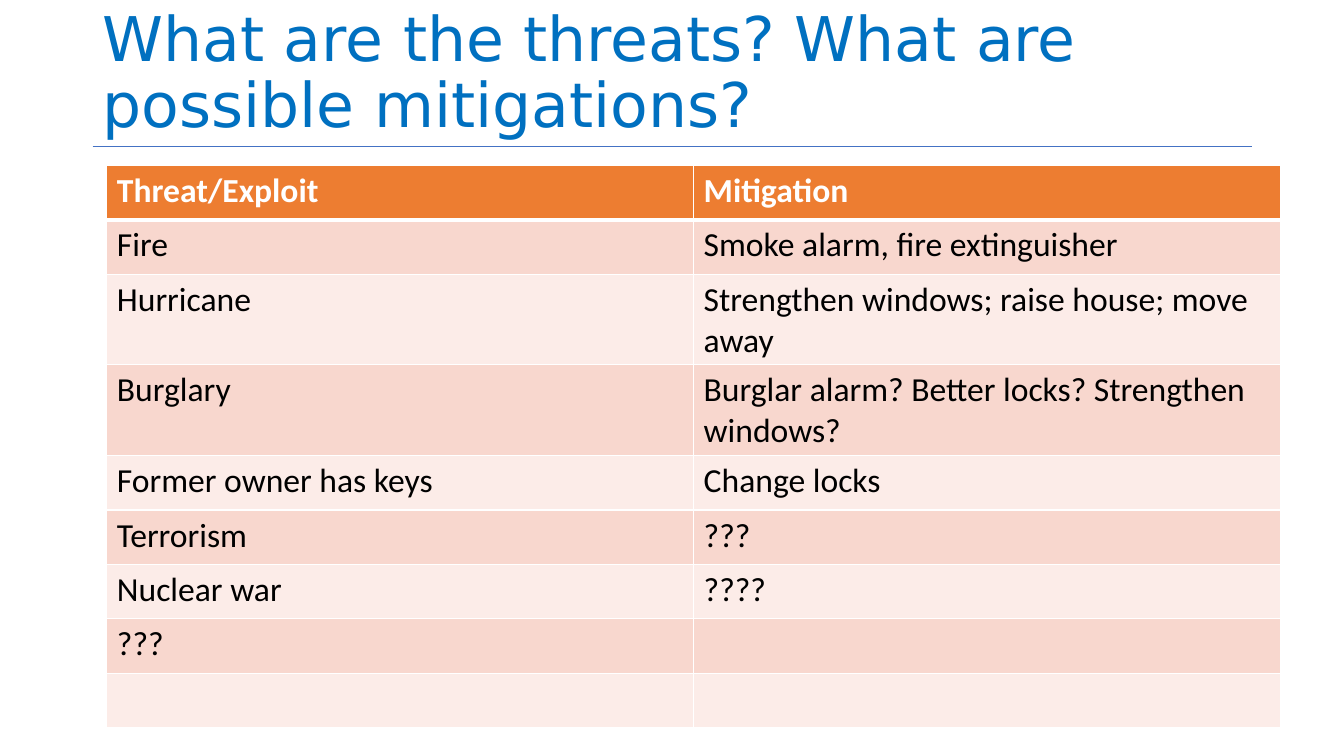
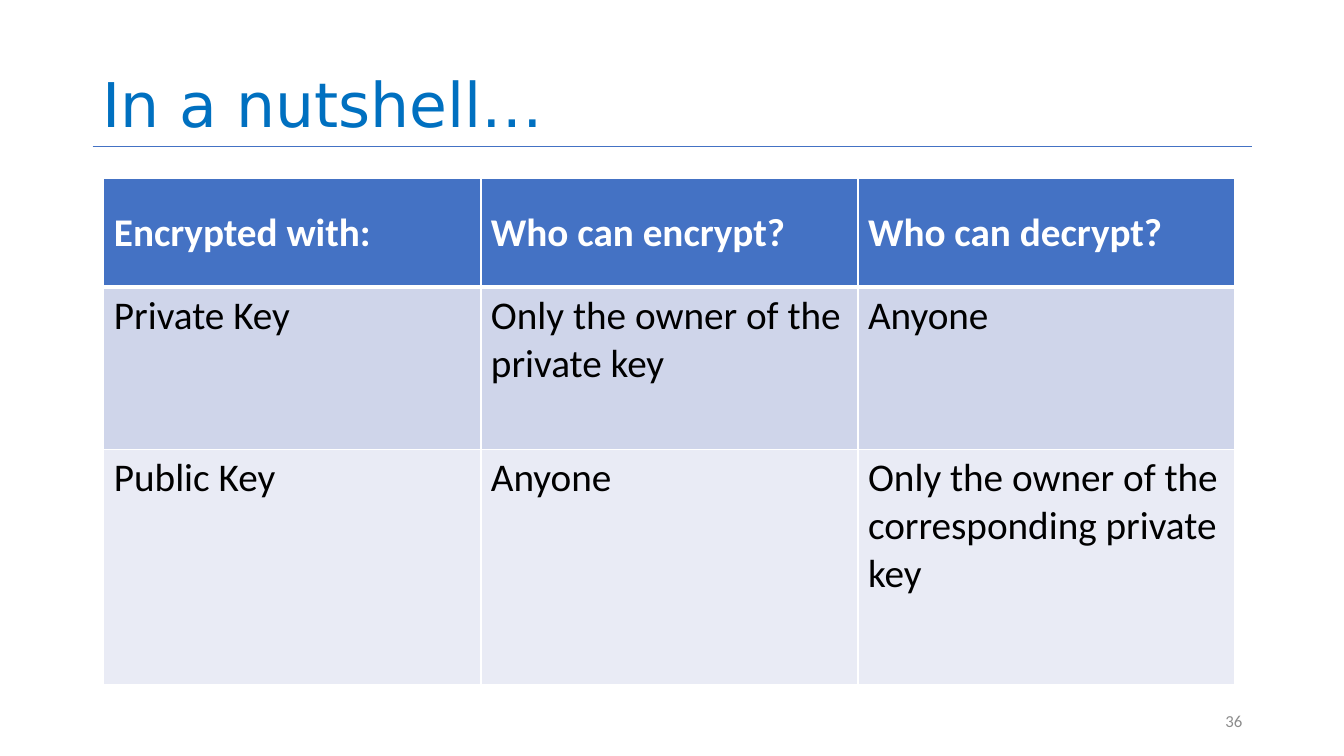
"""Build two slides that each show a titled table on threats and on key encryption."""
from lxml.etree import SubElement
from pptx import Presentation
from pptx.dml.color import RGBColor
from pptx.enum.shapes import MSO_CONNECTOR
from pptx.enum.text import MSO_ANCHOR, PP_ALIGN
from pptx.oxml.ns import qn
from pptx.util import Inches, Pt

COLORS = {
    "title": "0070C0",
    "rule": "4472C4",
    "number": "8C8C8C",
    "border": "FFFFFF",
    "header_text": "FFFFFF",
    "body_text": "000000",
}
ORANGE = {"header": "ED7D31", "bands": ("F8D7CE", "FCECE8")}
BLUE = {"header": "4472C4", "bands": ("CFD5EA", "E9EBF5")}
TITLE_FONT, BODY_FONT = "DejaVu Sans", "Calibri"
LEFT, WIDTH, RULE_Y = 0.92, 11.5, 1.45

THREATS = [
    ("Threat/Exploit", "Mitigation"),
    ("Fire", "Smoke alarm, fire extinguisher"),
    ("Hurricane", "Strengthen windows; raise house; move away"),
    ("Burglary", "Burglar alarm? Better locks? Strengthen windows?"),
    ("Former owner has keys", "Change locks"),
    ("Terrorism", "???"),
    ("Nuclear war", "????"),
    ("???", ""),
    ("", ""),
]
KEYS = [
    ("Encrypted with:", "Who can encrypt?", "Who can decrypt?"),
    ("Private Key", "Only the owner of the private key", "Anyone"),
    ("Public Key", "Anyone", "Only the owner of the corresponding private key"),
]


def set_font(p, name, size, color, bold=False):
    p.font.name = name
    p.font.size = Pt(size)
    p.font.bold = bold
    p.font.color.rgb = RGBColor.from_string(color)


def add_text(s, text, box, anchor, font, size, color):
    tf = s.shapes.add_textbox(*map(Inches, box)).text_frame
    tf.word_wrap = True
    tf.vertical_anchor = anchor
    p = tf.paragraphs[0]
    p.text = text
    set_font(p, font, size, color)
    return p


def add_titled_slide(prs, title):
    s = prs.slides.add_slide(prs.slide_layouts[6])
    y = Inches(RULE_Y)
    rule = s.shapes.add_connector(
        MSO_CONNECTOR.STRAIGHT, Inches(LEFT), y, Inches(LEFT + WIDTH), y)
    rule.line.color.rgb = RGBColor.from_string(COLORS["rule"])
    rule.line.width = Pt(0.5)
    SubElement(rule._element.spPr, qn("a:effectLst"))
    p = add_text(s, title, (LEFT, 0, WIDTH, RULE_Y), MSO_ANCHOR.BOTTOM,
                 TITLE_FONT, 44, COLORS["title"])
    p.line_spacing = 0.9
    return s


def add_slide_number(s, number):
    p = add_text(s, number, (9.42, 6.95, 3, 0.4), MSO_ANCHOR.MIDDLE,
                 BODY_FONT, 12, COLORS["number"])
    p.alignment = PP_ALIGN.RIGHT


def set_borders(cell, top, bottom):
    tcPr = cell._tc.get_or_add_tcPr()
    for side, width in (("L", 1), ("R", 1), ("T", top), ("B", bottom)):
        ln = SubElement(tcPr, qn(f"a:ln{side}"), w=str(Pt(width)))
        fill = SubElement(ln, qn("a:solidFill"))
        SubElement(fill, qn("a:srgbClr"), val=COLORS["border"])


def fill_cell(cell, text, row, size, theme, header_anchor):
    header = row == 0
    set_borders(cell, 3 if row == 1 else 1, 3 if header else 1)
    cell.fill.solid()
    color = theme["header"] if header else theme["bands"][(row - 1) % 2]
    cell.fill.fore_color.rgb = RGBColor.from_string(color)
    cell.vertical_anchor = header_anchor if header else MSO_ANCHOR.TOP
    p = cell.text_frame.paragraphs[0]
    p.text = text
    text_color = COLORS["header_text" if header else "body_text"]
    set_font(p, BODY_FONT, size, text_color, header)


def add_table(s, rows, left, top, col_width, heights, size, theme,
              header_anchor=MSO_ANCHOR.TOP):
    cols = len(rows[0])
    table = s.shapes.add_table(
        len(rows), cols, Inches(left), Inches(top),
        Inches(col_width * cols), Inches(sum(heights))).table
    table.horz_banding = False
    for column in table.columns:
        column.width = Inches(col_width)
    for i, (texts, height) in enumerate(zip(rows, heights)):
        table.rows[i].height = Inches(height)
        for j, text in enumerate(texts):
            fill_cell(table.cell(i, j), text, i, size, theme, header_anchor)


def main():
    prs = Presentation()
    prs.slide_width, prs.slide_height = Inches(13.33), Inches(7.5)

    s = add_titled_slide(prs, "What are the threats? What are possible mitigations?")
    add_table(s, THREATS, 1.06, 1.64, 5.82, [0.54] * len(THREATS), 24, ORANGE)

    s = add_titled_slide(prs, "In a nutshell…")
    add_slide_number(s, "36")
    add_table(s, KEYS, 1.03, 1.77, 3.74, [1.08, 1.61, 2.33], 28, BLUE,
              MSO_ANCHOR.MIDDLE)

    prs.save("out.pptx")


if __name__ == "__main__":
    main()
